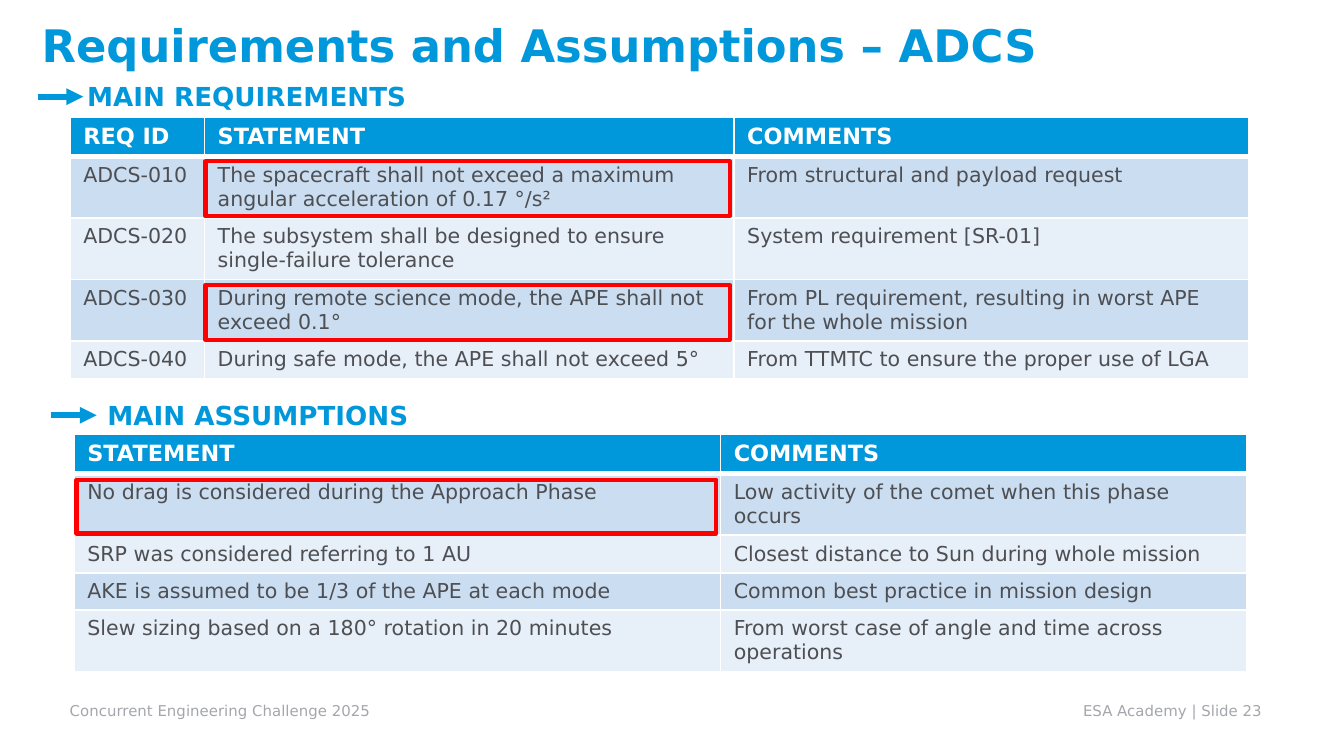
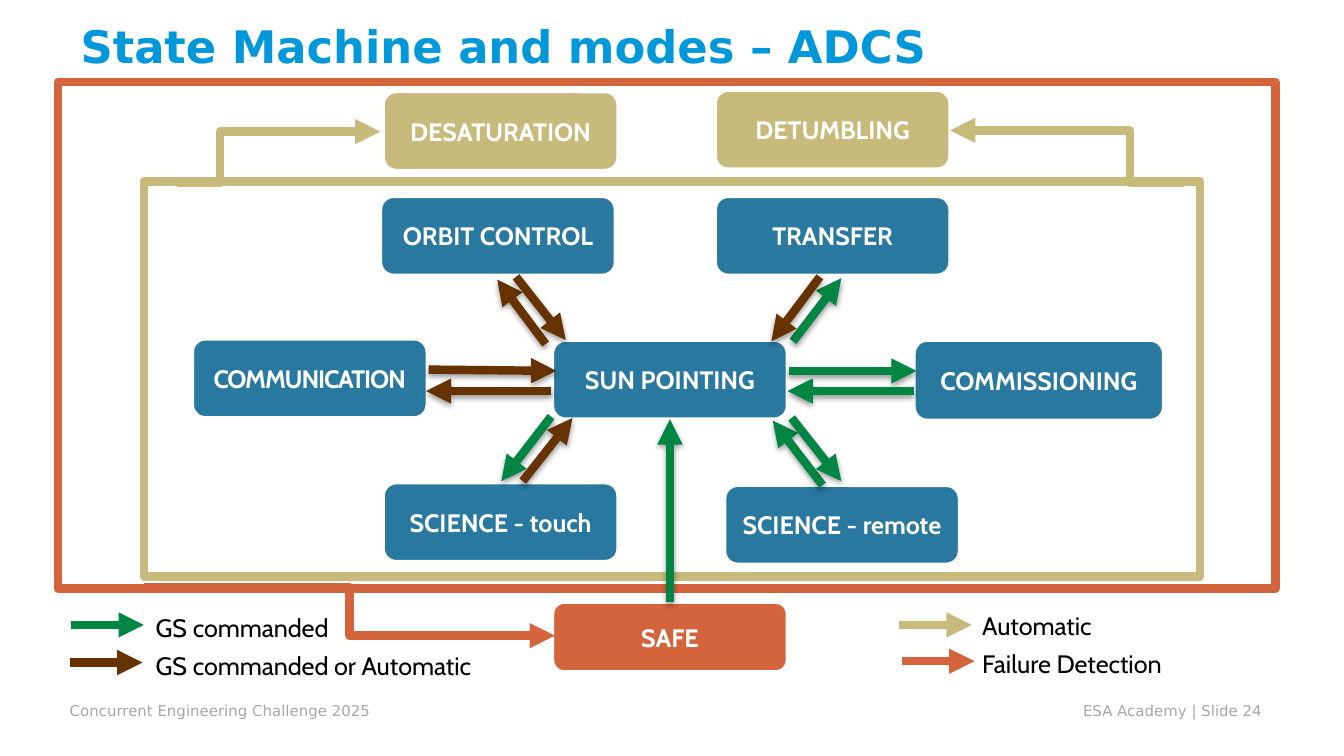
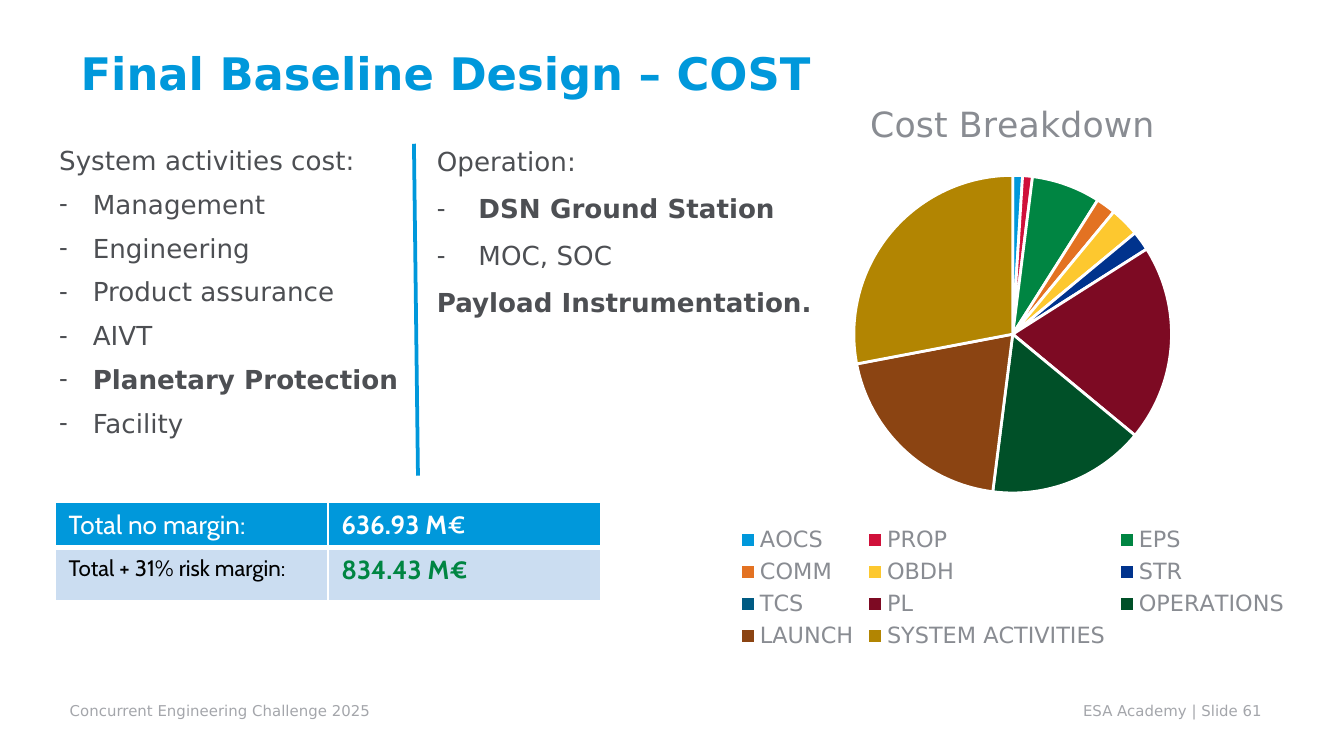
from dataclasses import dataclass, replace

from lxml import etree
from pptx import Presentation
from pptx import util as u
from pptx.chart.data import CategoryChartData
from pptx.dml.color import RGBColor
from pptx.enum import chart as charts, shapes, text
from pptx.oxml.ns import qn

PX = 9144  # one hundredth of an inch

WHITE = RGBColor(0xFF, 0xFF, 0xFF)
BLACK = RGBColor(0, 0, 0)
SKY = RGBColor(0x00, 0x98, 0xDB)
PALE = RGBColor(0xCB, 0xDD, 0xF1)
MIST = RGBColor(0xE7, 0xEF, 0xF8)
INK = RGBColor(0x4D, 0x4F, 0x53)
GREY = RGBColor(0x89, 0x8C, 0x92)
ASH = RGBColor(0xA4, 0xA6, 0xAB)
RED = RGBColor(0xFF, 0, 0)
GREEN = RGBColor(0x00, 0x85, 0x42)
BROWN = RGBColor(0x66, 0x33, 0x00)
SAND = RGBColor(0xC7, 0xBA, 0x7B)
RUST = RGBColor(0xD4, 0x64, 0x3C)
STEEL = RGBColor(0x28, 0x78, 0xA0)
CRIMSON = RGBColor(0xD0, 0x10, 0x3A)
ORANGE = RGBColor(0xE3, 0x72, 0x22)
YELLOW = RGBColor(0xFD, 0xC8, 0x2F)
NAVY = RGBColor(0x00, 0x33, 0x8D)
TEAL = RGBColor(0x00, 0x5B, 0x83)
WINE = RGBColor(0x7D, 0x0A, 0x23)
FOREST = RGBColor(0x00, 0x50, 0x28)
UMBER = RGBColor(0x8B, 0x44, 0x12)
GOLD = RGBColor(0xB2, 0x85, 0x02)

TITLE_ONLY, TWO_LISTS = 5, 3
TOP, BOTTOM = 0, 2


@dataclass(frozen=True)
class Face:
    size: float
    color: RGBColor
    bold: bool = False
    name: str = "DejaVu Sans"
    track: int = 0

    def apply(self, font):
        font.size, font.bold, font.name = u.Pt(self.size), self.bold, self.name
        font.color.rgb = self.color


TITLE = Face(24, SKY, True)
HEADING = Face(14, SKY, True)
FOOTER = Face(8, ASH)
HEAD = Face(12, WHITE, True)
CELL = Face(11, INK)
ITEM = Face(14, INK)
STRONG = replace(ITEM, bold=True)
MODE = Face(13.5, WHITE, True, "Cabin")
KEY = Face(13.5, BLACK, False, "Cabin")


def sub(parent, tag, **attrs):
    return etree.SubElement(parent, qn(tag), {k: str(v) for k, v in attrs.items()})


def scale(*nums):
    return [u.Emu(n * PX) for n in nums]


class Deck:
    """Holds the shared style and the slide being built."""

    def __init__(self):
        self.prs = Presentation()
        self.prs.slide_width, self.prs.slide_height = u.Inches(10), u.Inches(5.625)
        self.slide = None

    def start(self, title, number, left, top, layout=TITLE_ONLY):
        self.slide = self.prs.slides.add_slide(self.prs.slide_layouts[layout])
        frame = self.place(self.slide.shapes.title, (left, top, 900, 94))
        frame.vertical_anchor = text.MSO_ANCHOR.MIDDLE
        frame.paragraphs[0].alignment = text.PP_ALIGN.LEFT
        self.add_runs(frame.paragraphs[0], [(title, TITLE)])
        for x, words in ((796, f"ESA Academy | Slide {number}"),
                         (42, "Concurrent Engineering Challenge 2025")):
            foot = self.label((x, 517, 119, 21), [words], FOOTER)
            foot.word_wrap = False
            foot.margin_right = 0

    def place(self, holder, box):
        holder.left, holder.top, holder.width, holder.height = scale(*box)
        frame = holder.text_frame
        frame.auto_size = text.MSO_AUTO_SIZE.NONE
        frame.word_wrap = True
        return frame

    def add_runs(self, para, runs):
        for words, face in runs:
            run = para.add_run()
            run.text = words
            face.apply(run.font)
            if face.track:
                run.font._element.set("spc", str(face.track))

    def label(self, box, lines, face, pitch=None):
        frame = self.place(self.slide.shapes.add_textbox(0, 0, 0, 0), box)
        for i, words in enumerate(lines):
            para = frame.add_paragraph() if i else frame.paragraphs[0]
            if pitch:
                para.line_spacing = u.Pt(pitch)
            self.add_runs(para, [(words, face)])
        return frame

    def items(self, index, box, lines, hang, spacing):
        """Fill a body placeholder with (words, face, has dash) lines."""
        frame = self.place(self.slide.placeholders[index], box)
        frame.vertical_anchor = text.MSO_ANCHOR.TOP
        for i, (words, face, dash) in enumerate(lines):
            para = frame.add_paragraph() if i else frame.paragraphs[0]
            props = para._p.get_or_add_pPr()
            inset = hang * PX if dash else 0
            props.set("marL", str(inset))
            props.set("indent", str(-inset))
            if dash:
                sub(props, "a:buChar", char="-")
            else:
                sub(props, "a:buNone")
            para.line_spacing = spacing
            para.space_before = u.Pt(10 if i else 0)
            self.add_runs(para, [(words, face)])

    def shape(self, kind, box, fill=None, line=WHITE, width=2.0):
        item = self.slide.shapes.add_shape(kind, *scale(*box))
        item.shadow.inherit = False
        if fill is None:
            item.fill.background()
        else:
            item.fill.solid()
            item.fill.fore_color.rgb = fill
        item.line.color.rgb, item.line.width = line, u.Pt(width)
        return item

    def frame(self, box, color, width):
        self.shape(shapes.MSO_SHAPE.RECTANGLE, box, None, color, width)

    def mode(self, name, box, fill=STEEL, track=0):
        item = self.shape(shapes.MSO_SHAPE.ROUNDED_RECTANGLE, box, fill)
        item.text_frame.word_wrap = True
        item.text_frame.vertical_anchor = text.MSO_ANCHOR.MIDDLE
        para = item.text_frame.paragraphs[0]
        para.alignment = text.PP_ALIGN.CENTER
        self.add_runs(para, [(name, replace(MODE, track=track))])
        return item

    def line(self, ends, color, width=4.5, head=True, shade=False, bend=None):
        """Draw a line; bend is the share of the width before an elbow."""
        kind = shapes.MSO_CONNECTOR.STRAIGHT if bend is None else shapes.MSO_CONNECTOR.ELBOW
        wire = self.slide.shapes.add_connector(kind, *scale(*ends))
        wire.line.color.rgb, wire.line.width = color, u.Pt(width)
        props = wire._element.spPr
        if bend is not None:
            geom = props.find(qn("a:prstGeom"))
            guides = geom.find(qn("a:avLst"))
            if guides is None:
                guides = sub(geom, "a:avLst")
            sub(guides, "a:gd", name="adj1", fmla=f"val {round(bend * 100000)}")
        if head:
            sub(props.find(qn("a:ln")), "a:tailEnd", type="triangle")
        effects = sub(props, "a:effectLst")
        if shade:
            cast = sub(effects, "a:outerShdw", blurRad=u.Pt(3.1), dist=u.Pt(1.6),
                       dir=5400000, rotWithShape=0)
            sub(sub(cast, "a:srgbClr", val=BLACK), "a:alpha", val=38000)
        return wire

    def table(self, box, cols, heights, rows):
        """Draw a table whose cells are lists of (words, face) runs."""
        holder = self.slide.shapes.add_table(len(rows), len(cols), *scale(*box))
        grid = holder.table
        for col, width in zip(grid.columns, scale(*cols)):
            col.width = width
        for row, height in zip(grid.rows, scale(*heights)):
            row.height = height
        holder.height = u.Emu(box[3] * PX)
        for r, cells in enumerate(rows):
            for c, runs in enumerate(cells):
                cell = grid.cell(r, c)
                self.add_runs(cell.text_frame.paragraphs[0], runs)
                self.edge(cell, top=3 if r == 1 else 1, bottom=1 if r else 3)
                cell.fill.solid()
                cell.fill.fore_color.rgb = (PALE if r % 2 else MIST) if r else SKY

    def edge(self, cell, top, bottom):
        props = cell._tc.get_or_add_tcPr()
        for side, width in (("L", 1), ("R", 1), ("T", top), ("B", bottom)):
            rule = sub(props, f"a:ln{side}", w=u.Pt(width))
            sub(sub(rule, "a:solidFill"), "a:srgbClr", val=WHITE)

    def pie(self, box, title, slices):
        data = CategoryChartData()
        data.categories = [name for name, _, _ in slices]
        data.add_series(title, [value for _, value, _ in slices])
        chart = self.slide.shapes.add_chart(
            charts.XL_CHART_TYPE.PIE, *scale(*box), data).chart
        Face(10, INK).apply(chart.font)
        chart.has_title = True
        self.add_runs(chart.chart_title.text_frame.paragraphs[0],
                      [(title, Face(18.6, GREY))])
        chart.has_legend = True
        chart.legend.position = charts.XL_LEGEND_POSITION.BOTTOM
        chart.legend.include_in_layout = False
        Face(12, GREY).apply(chart.legend.font)
        plot = chart.plots[0]
        plot.vary_by_categories = True
        for i, (_, _, color) in enumerate(slices):
            form = plot.series[0].points[i].format
            form.fill.solid()
            form.fill.fore_color.rgb = color
            form.line.color.rgb, form.line.width = WHITE, u.Pt(1.5)


def styled(rows):
    """Give a plain text grid the header and cell faces."""
    return [[[(words, CELL if r else HEAD)] for words in row]
            for r, row in enumerate(rows)]


def needs(deck):
    deck.start("Requirements and Assumptions – ADCS", 23, 21, -14)
    deck.table((52, 87, 877, 198), (100, 394, 383), (15, 23, 23, 23, 23), styled([
        ("REQ ID", "STATEMENT", "COMMENTS"),
        ("ADCS-010",
         "The spacecraft shall not exceed a maximum angular acceleration of 0.17 °/s²",
         "From structural and payload request"),
        ("ADCS-020",
         "The subsystem shall be designed to ensure single-failure tolerance",
         "System requirement [SR-01]"),
        ("ADCS-030", "During remote science mode, the APE shall not exceed 0.1°",
         "From PL requirement, resulting in worst APE for the whole mission"),
        ("ADCS-040", "During safe mode, the APE shall not exceed 5°",
         "From TTMTC to ensure the proper use of LGA"),
    ]))
    for x, y, left, words in ((28, 72, 55, "MAIN REQUIREMENTS"),
                              (38, 309, 70, "MAIN ASSUMPTIONS")):
        deck.line((x, y, x + 34, y), SKY, 3)
        deck.label((left, y - 17, 310, 34), [words], HEADING)
    deck.table((55, 323, 873, 180), (481, 392), (20, 32, 25, 19, 32), styled([
        ("STATEMENT", "COMMENTS"),
        ("No drag is considered during the Approach Phase",
         "Low activity of the comet when this phase occurs"),
        ("SRP was considered referring to 1 AU",
         "Closest distance to Sun during whole mission"),
        ("AKE is assumed to be 1/3 of the APE at each mode",
         "Common best practice in mission design"),
        ("Slew sizing based on a 180° rotation in 20 minutes",
         "From worst case of angle and time across operations"),
    ]))
    for box in ((153, 120, 390, 41), (57, 357, 476, 40), (153, 212, 390, 41)):
        deck.frame(box, RED, 2.25)


def states(deck):
    deck.start("State Machine and modes – ADCS", 24, 50, -13)
    safe = deck.mode("SAFE", (411, 448, 175, 52), RUST)
    sun = deck.mode("SUN POINTING", (411, 253, 175, 59))
    for name, x, y, fill in (
            ("DETUMBLING", 532, 67, SAND), ("DESATURATION", 285, 68, SAND),
            ("TRANSFER", 532, 146, STEEL), ("ORBIT CONTROL", 283, 146, STEEL),
            ("SCIENCE - touch", 285, 359, STEEL), ("SCIENCE - remote", 539, 361, STEEL)):
        deck.mode(name, (x, y, 175, 59), fill)
    deck.mode("COMMUNICATION", (143, 252, 175, 59), track=-60)
    deck.mode("COMMISSIONING", (680, 253, 186, 60))

    deck.frame((43, 61, 906, 377), RUST, 4.5)
    deck.line((107, 437, 413, 473), RUST, bend=0.5)
    deck.frame((107, 135, 786, 294), SAND, 4.5)
    deck.line((881, 136, 707, 97), SAND, bend=0.23)
    deck.line((132, 136, 283, 98), SAND, bend=0.21)

    rise = deck.line((499, 448, 499, 312), GREEN, shade=True)
    rise.begin_connect(safe, TOP)
    rise.end_connect(sun, BOTTOM)
    moves = {
        GREEN: ((590, 254, 626, 207), (587, 276, 682, 276), (680, 291, 586, 291),
                (612, 361, 575, 313), (589, 311, 626, 358), (410, 310, 373, 358)),
        BROWN: ((406, 256, 370, 208), (384, 206, 421, 253), (610, 206, 574, 254),
                (319, 275, 414, 276), (410, 291, 317, 291), (389, 358, 426, 311)),
    }
    for color, routes in moves.items():
        for ends in routes:
            deck.line(ends, color, shade=True)

    for x, y, color in ((53, 465, GREEN), (52, 493, BROWN),
                        (669, 465, SAND), (671, 492, RUST)):
        deck.line((x, y, x + 54, y), color)
    deck.label((106, 445, 278, 64), ["GS commanded", "GS commanded or Automatic"], KEY, 20.2)
    deck.label((721, 444, 168, 64), ["Automatic", "Failure Detection"], KEY, 20.2)


def cost(deck):
    deck.start("Final Baseline Design – COST", 61, 50, 7, TWO_LISTS)
    deck.items(1, (34, 107, 281, 235), [
        ("System activities cost:", ITEM, False),
        ("Management", ITEM, True),
        ("Engineering", ITEM, True),
        ("Product assurance", ITEM, True),
        ("AIVT", ITEM, True),
        ("Planetary Protection", STRONG, True),
        ("Facility", ITEM, True),
    ], 25, 0.8)
    deck.pie((399, 57, 709, 430), "Cost Breakdown", [
        ("AOCS", 1, SKY), ("PROP", 1, CRIMSON), ("EPS", 7, GREEN),
        ("COMM", 2, ORANGE), ("OBDH", 3, YELLOW), ("STR", 2, NAVY),
        ("TCS", 0, TEAL), ("PL", 20, WINE), ("OPERATIONS", 16, FOREST),
        ("LAUNCH", 20, UMBER), ("SYSTEM ACTIVITIES", 28, GOLD),
    ])
    plain = Face(14, WHITE, False, "Cabin")
    bold = replace(plain, bold=True)
    deck.table((41, 374, 406, 72), (203, 203), (33, 39), [
        ([("Total no margin:", plain)], [("636.93 M", bold), ("€", plain)]),
        ([("Total + 31% risk margin:", replace(plain, size=12, color=BLACK))],
         [("834.43 M€", replace(bold, color=GREEN))]),
    ])
    deck.items(2, (315, 106, 322, 137), [
        ("Operation:", ITEM, False),
        ("DSN Ground Station", STRONG, True),
        ("MOC, SOC", ITEM, True),
        ("Payload Instrumentation.", STRONG, False),
    ], 31, 0.9)
    deck.line((308, 107, 311, 354), SKY, 2, head=False)


def main():
    deck = Deck()
    for build in (needs, states, cost):
        build(deck)
    deck.prs.save("out.pptx")


if __name__ == "__main__":
    main()
